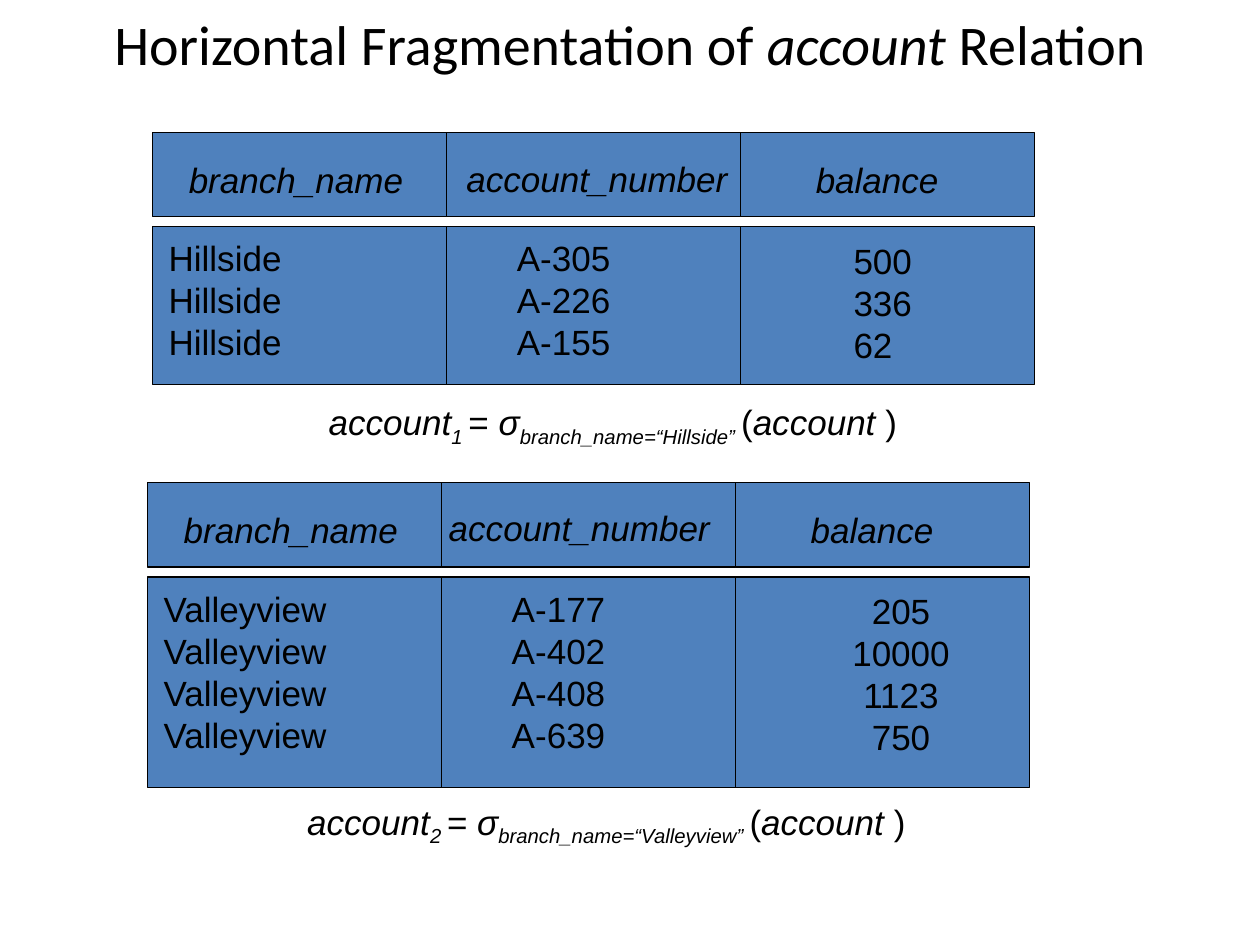
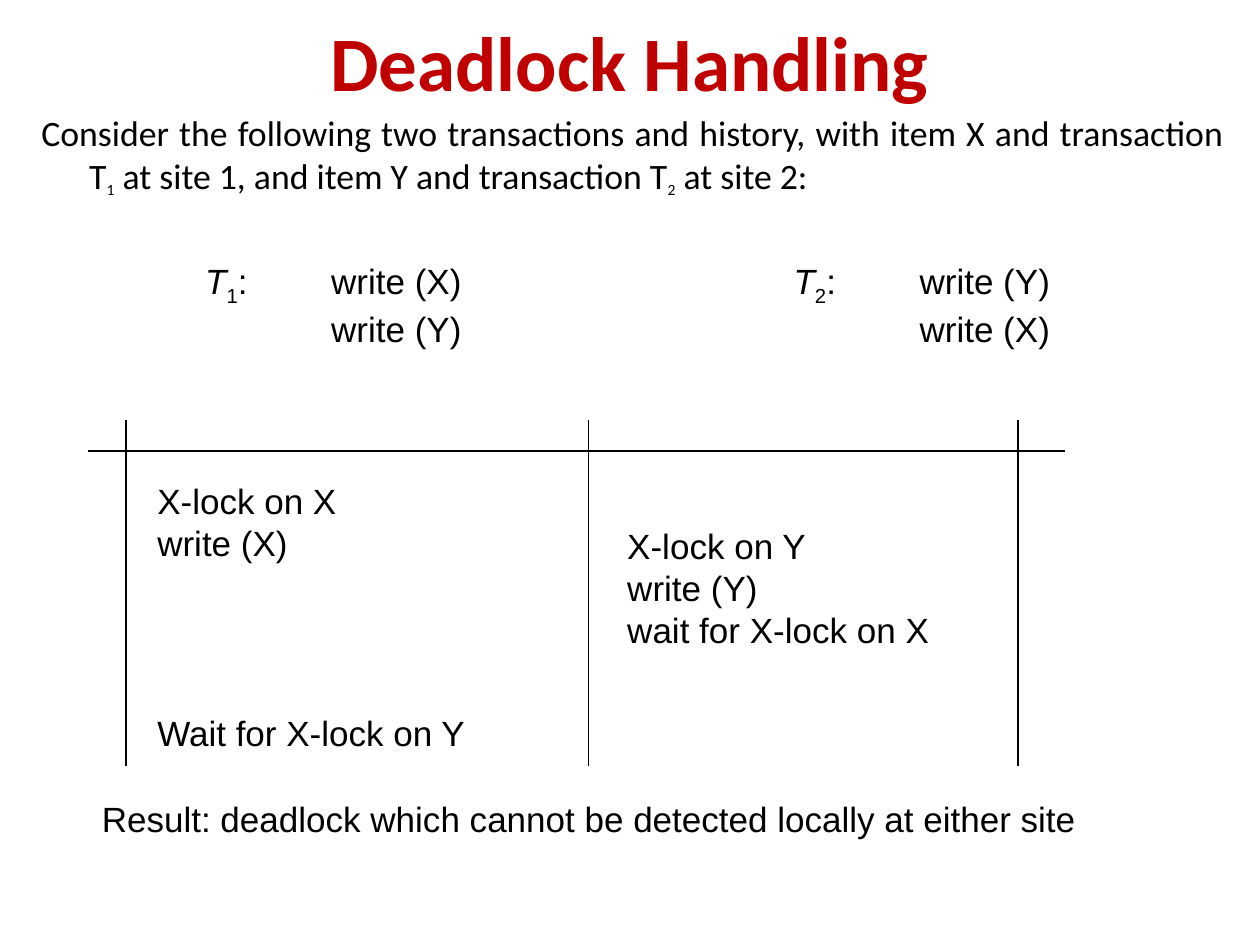
from pptx import Presentation
from pptx.dml.color import RGBColor
from pptx.enum.shapes import MSO_CONNECTOR as Link, MSO_SHAPE as Shape
from pptx.enum.text import MSO_ANCHOR as Anchor, MSO_AUTO_SIZE as Auto, PP_ALIGN as Align
from pptx.oxml.ns import qn
from pptx.util import Inches, Pt
from lxml.etree import SubElement

HUES = {"ink": "000000", "cell": "4F81BD", "alert": "C00000"}
WIDE, HIGH = 10, 7.5
COL, HEAD, GAP, ROW = 2.333, 0.67, 0.08, 0.417
SLACK = 0.04

FIELDS = [("branch_name", 1.9), ("account_number", 2.27), ("balance", 1.17)]
BODY = [(0.03, 0.03), (0.46, 0.03)]
FRAGS = [
    {
        "at": (1.21, 1.05), "no": "1 ", "branch": "Hillside", "width": 1.09,
        "rows": [("A-305", "500"), ("A-226", "336"), ("A-155", "62")],
        "heads": [(0.19, 0.16), (0.06, 0.15), (0.5, 0.16)],
        "sums": (0.8, 0.05, 0.66, Align.LEFT), "rule": (2.51, 3.13, 5.11),
    },
    {
        "at": (1.17, 3.83), "no": "2 ", "branch": "Valleyview", "width": 1.51,
        "rows": [("A-177", "205"), ("A-402", "10000"), ("A-408", "1123"), ("A-639", "750")],
        "heads": [(0.19, 0.16), (-0.04, 0.14), (0.5, 0.16)],
        "sums": (0.81, 0.05, 0.97, Align.CENTER), "rule": (2.34, 6.3, 5.34),
    },
]

TITLE = [("Horizontal Fragmentation of ", ""), ("account", "i"), (" Relation", "")]
INTRO = [
    ("Consider the following two transactions and history, with item X and transaction T", ""),
    ("1", "s"), (" at site 1, and item Y and transaction T", ""), ("2", "s"), (" at site 2:", ""),
]
TASKS = [(1.53, "1", "X", "Y"), (6.2, "2", "Y", "X")]
NOTES = [
    (1.15, 3.76, 1.62, ["X-lock on X", "write (X)"]),
    (4.88, 4.11, 2.6, ["X-lock on Y", "write (Y)", "wait for X-lock on X"]),
    (1.15, 5.6, 2.66, ["Wait for X-lock on Y"]),
    (0.71, 6.28, 7.93, ["Result: deadlock which cannot be detected locally at either site"]),
]
TOP, END = 3.33, 6.08
RULES = [(x, TOP, x, END) for x in (1, 4.67, 8.08)] + [(0.7, 3.58, 8.45, 3.58)]


def hue(name):
    return RGBColor.from_string(HUES[name])


def write(slide, x, y, w, paras, h=None, size=20, face="Arial", ink="ink",
          bold=False, italic=None, align=Align.LEFT, wrap=False, small=None):
    h = h or 0.1 + len(paras) / 3
    w = w if wrap else w + SLACK
    frame = slide.shapes.add_textbox(*map(Inches, (x, y, w, h))).text_frame
    frame.word_wrap = wrap
    frame.auto_size = Auto.NONE if wrap else Auto.SHAPE_TO_FIT_TEXT
    for i, runs in enumerate(paras):
        para = frame.add_paragraph() if i else frame.paragraphs[0]
        para.alignment = align
        font = para.font
        font.size, font.name, font.bold, font.italic = Pt(size), face, bold, italic
        font.color.rgb = hue(ink)
        for words, marks in [(runs, "")] if isinstance(runs, str) else runs:
            run = para.add_run()
            run.text = words
            if "i" in marks:
                run.font.italic = True
            if "s" in marks:
                run.font._element.set("baseline", "-25000")
                if small:
                    run.font.size = Pt(small)
    return frame


def title(slide, runs, y, h, size, **look):
    frame = write(slide, 0.5, y, WIDE - 1, [runs], h, size, "Calibri",
                  align=Align.CENTER, wrap=True, **look)
    frame.vertical_anchor = Anchor.MIDDLE
    return frame.paragraphs[0]


def tab(para, x):
    props = para._p.get_or_add_pPr()
    stops = SubElement(props, qn("a:tabLst"))
    SubElement(stops, qn("a:tab"), pos=str(Inches(x)), algn="l")
    props.insert(0, stops)


def cell(slide, x, y, h):
    box = slide.shapes.add_shape(Shape.RECTANGLE, *map(Inches, (x, y, COL, h)))
    box.shadow.inherit = False
    box.fill.solid()
    box.fill.fore_color.rgb = hue("cell")
    box.line.color.rgb = hue("ink")
    box.line.width = Pt(0.75)


def rule(slide, *ends):
    line = slide.shapes.add_connector(Link.STRAIGHT, *map(Inches, ends))
    line.line.color.rgb = hue("ink")
    line.line.width = Pt(0.75)
    SubElement(line._element.spPr, qn("a:effectLst"))


def fragment(slide, frag):
    left, top = frag["at"]
    rows = frag["rows"]
    low = top + HEAD + GAP
    codes, sums = map(list, zip(*rows))
    dx, dy, width, align = frag["sums"]
    cols = [
        (*BODY[0], frag["width"], [frag["branch"]] * len(rows), Align.LEFT),
        (*BODY[1], 0.94, codes, Align.LEFT),
        (dx, dy, width, sums, align),
    ]
    for i, ((name, wide), (hx, hy), col) in enumerate(zip(FIELDS, frag["heads"], cols)):
        x = left + i * COL
        cell(slide, x, top, HEAD)
        write(slide, x + hx, top + hy, wide, [name], italic=True)
        dx, dy, width, lines, align = col
        cell(slide, x, low, ROW * len(rows))
        write(slide, x + dx, low + dy, width, lines, align=align)
    runs = [("account", "i"), (frag["no"], "is"), ("= ", ""), ("σ", "i"),
            (f"branch_name=“{frag['branch']}” ", "is"),
            ("(", ""), ("account ", "i"), (")", "")]
    write(slide, *frag["rule"], [runs], 0.48, wrap=True)


def split(slide):
    title(slide, TITLE, 0.1, 0.58, 32).line_spacing = 0.8
    for frag in FRAGS:
        fragment(slide, frag)


def deadlock(slide):
    title(slide, "Deadlock Handling", 0.15, 0.67, 44, ink="alert", bold=True)
    intro = write(slide, 0.23, 0.83, 9.58, [INTRO], 0.84, 20.4, "Calibri",
                  align=Align.JUSTIFY, wrap=True, small=15.3).paragraphs[0]
    intro.space_before = Pt(6)
    props = intro._p.get_or_add_pPr()
    props.set("marL", str(Inches(0.38)))
    props.set("indent", str(-Inches(0.38)))
    for x, no, one, two in TASKS:
        first = [("T", "i"), (no, "s"), (f":\twrite ({one})", "")]
        task = write(slide, x, 2.01, 2.23, [first, f"\twrite ({two})"], 0.82)
        for para in task.paragraphs:
            tab(para, 1)
    for ends in RULES:
        rule(slide, *ends)
    for note in NOTES:
        write(slide, *note)


def main():
    """Build the two slides on fragmentation and deadlock."""
    deck = Presentation()
    deck.slide_width, deck.slide_height = Inches(WIDE), Inches(HIGH)
    for fill in (split, deadlock):
        fill(deck.slides.add_slide(deck.slide_layouts[6]))
    deck.save("out.pptx")


if __name__ == "__main__":
    main()
